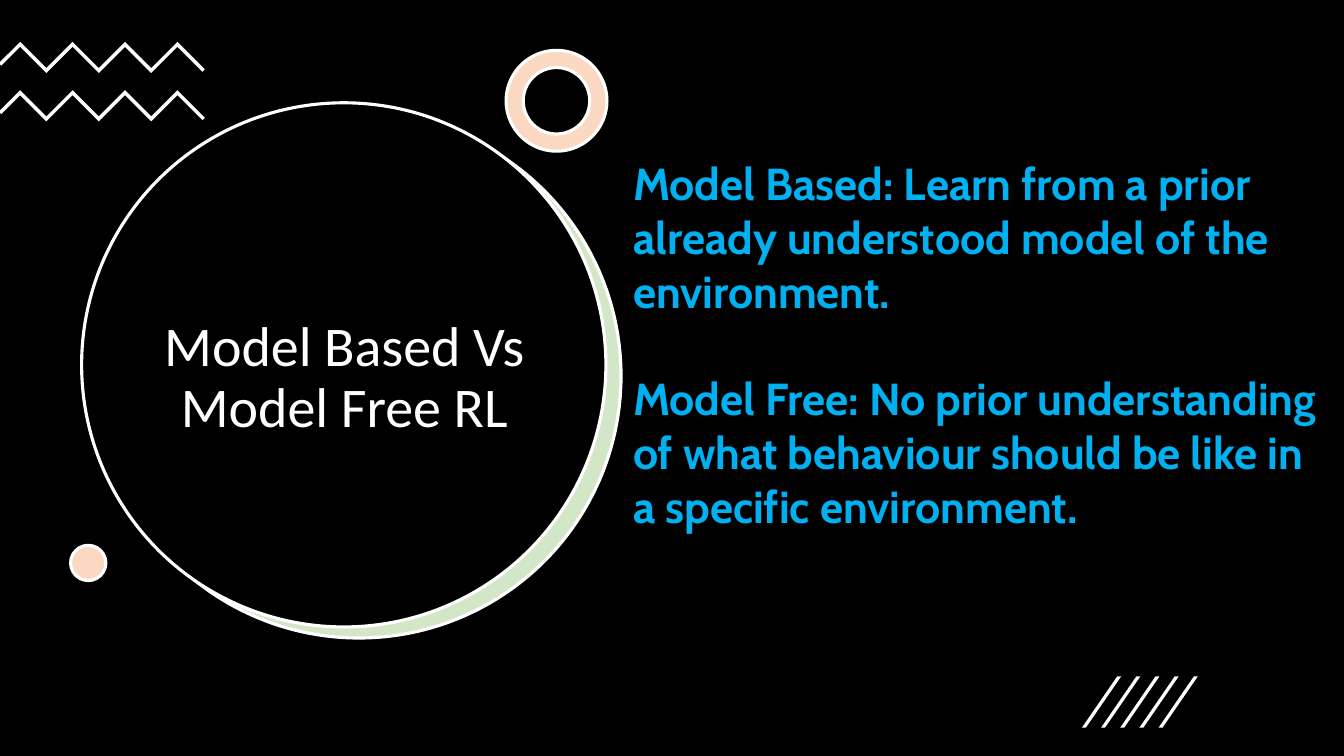
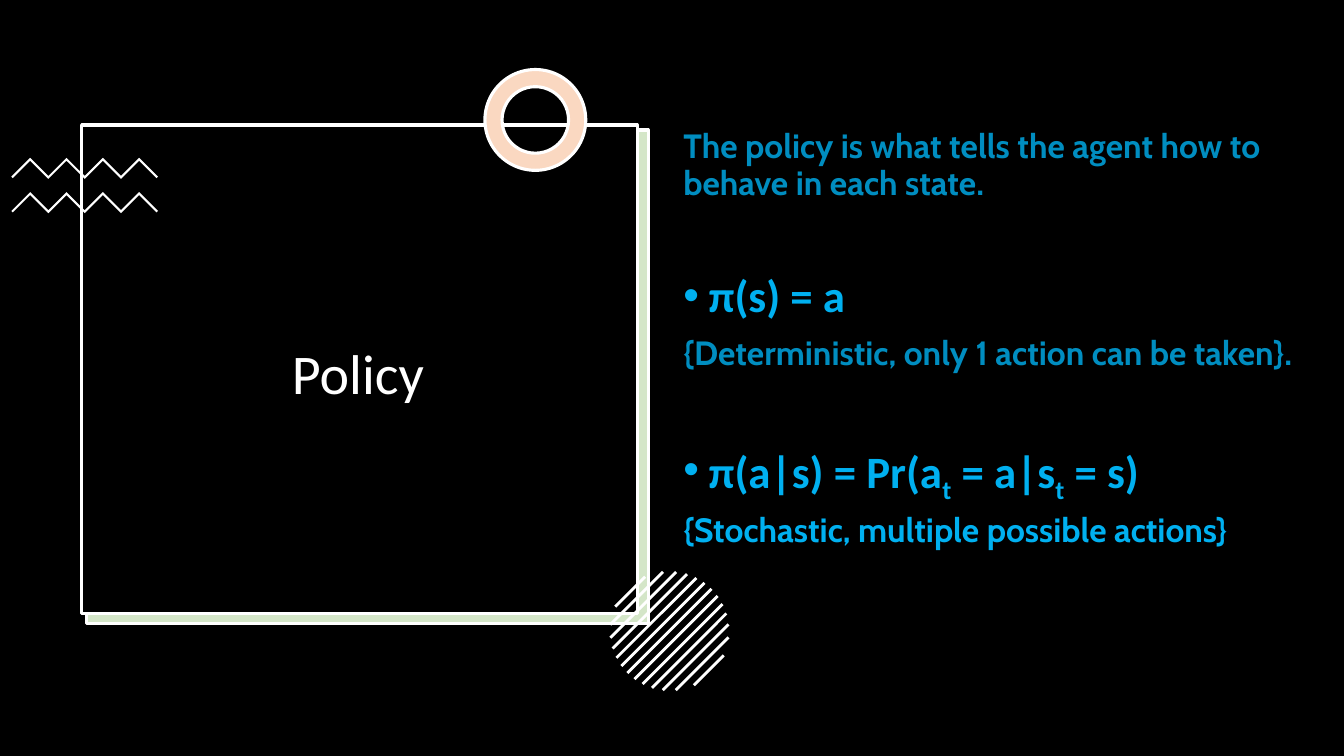
from math import sqrt

from lxml import etree
from pptx import Presentation
from pptx import util as u
from pptx.dml.color import RGBColor
from pptx.enum import shapes, text
from pptx.oxml.ns import qn

BLACK = RGBColor(0x00, 0x00, 0x00)
WHITE = RGBColor(0xFF, 0xFF, 0xFF)
GREEN = RGBColor(0xD4, 0xE6, 0xC8)
PEACH = RGBColor(0xFA, 0xD8, 0xC1)
BLUE = RGBColor(0x00, 0xB0, 0xF0)
DIM = RGBColor(0x00, 0x8D, 0xC0)
KIND = shapes.MSO_SHAPE


def draw(slide, kind, box, fill, edge=True):
    shape = slide.shapes.add_shape(kind, *map(u.Inches, box))
    shape.shadow.inherit = False
    shape.fill.solid()
    shape.fill.fore_color.rgb = fill
    if edge:
        shape.line.color.rgb = WHITE
        shape.line.width = u.Pt(2.25)
    else:
        shape.line.fill.background()
    return shape


def write(slide, box, paras, lead=1.0, mid=False):
    frame = slide.shapes.add_textbox(*map(u.Inches, box)).text_frame
    frame.word_wrap = True
    if mid:
        frame.vertical_anchor = text.MSO_ANCHOR.MIDDLE
    for i, (gap, dot, face, size, color, bold, runs) in enumerate(paras):
        para = frame.paragraphs[0] if i == 0 else frame.add_paragraph()
        if dot:
            props = para._p.get_or_add_pPr()
            props.set("marL", str(u.Inches(0.25)))
            props.set("indent", str(-u.Inches(0.25)))
            etree.SubElement(props, qn("a:buFont")).set("typeface", "Arial")
            etree.SubElement(props, qn("a:buChar")).set("char", "•")
        para.line_spacing = lead
        if gap:
            para.space_before = u.Pt(gap)
        if mid:
            para.alignment = text.PP_ALIGN.CENTER
        for words, base in runs:
            run = para.add_run()
            run.text = words
            run.font.name = face
            run.font.size = u.Pt(size)
            run.font.bold = bold
            run.font.color.rgb = color
            if base:
                run._r.get_or_add_rPr().set("baseline", str(base))


deck = Presentation()
deck.slide_width = u.Inches(13.33)
deck.slide_height = u.Inches(7.5)

looks = [
    (KIND.OVAL, (0.96, 1.13, 5.2, 5.2), (0.81, 1.02, 5.2, 5.2),
     (0, 0.2, 0.26, 0.44, 0.48, 2.5), (5.02, 0.5),
     "Model Based Vs Model Free RL", (1.21, 2, 4.41, 3.52)),
    (KIND.RECTANGLE, (0.86, 1.29, 5.57, 4.9), (0.81, 1.24, 5.51, 4.85),
     (0.12, 0.3, 0.18, 1.58, 0.34, 1.5), (4.81, 0.69),
     "Policy", (0.87, 1.52, 5.36, 4.42)),
]
for kind, back, front, wave, spot, title, box in looks:
    slide = deck.slides.add_slide(deck.slide_layouts[6])
    slide.background.fill.solid()
    slide.background.fill.fore_color.rgb = BLACK
    draw(slide, kind, back, GREEN)
    draw(slide, kind, front, BLACK)
    write(slide, box, [(0, False, "Calibri", 40, WHITE, False, [(title, 0)])], 0.9, True)

    start, first, step, top, drop, width = wave
    for row in range(2):
        y = top + row * drop
        path = slide.shapes.build_freeform(u.Inches(start), u.Inches(y + first - start))
        path.add_line_segments(
            [(u.Inches(first + i * step), u.Inches(y + i % 2 * step)) for i in range(8)],
            close=False)
        zig = path.convert_to_shape()
        zig.shadow.inherit = False
        zig.fill.background()
        zig.line.color.rgb = WHITE
        zig.line.width = u.Pt(width)
        etree.SubElement(zig.line._get_or_add_ln(), qn("a:miter")).set("lim", "800000")

    ring = draw(slide, KIND.DONUT, (*spot, 1, 1), PEACH)
    ring.adjustments[0] = 0.17

model, policy = deck.slides

draw(model, KIND.OVAL, (0.7, 5.41, 0.35, 0.35), PEACH)
for i in range(5):
    slash = draw(model, KIND.PARALLELOGRAM, (10.73 + 0.19 * i, 6.71, 0.39, 0.51), WHITE, False)
    slash.adjustments[0] = 0.9

write(model, (6.18, 1.5, 7.02, 4.41), [
    (0, False, "Cabin", 32, BLUE, True,
     [("Model Based: Learn from a prior already understood model of the environment.", 0)]),
    (38, False, "Cabin", 32, BLUE, True,
     [("Model Free: No prior understanding of what behaviour should be like in a specific environment.", 0)]),
])

x, y, radius = 6.64, 6.26, 0.59
for i in range(-6, 7):
    shift = i * 0.13 / 2
    half = sqrt(radius ** 2 / 2 - shift ** 2)
    ends = (x + shift + half, y + shift - half, x + shift - half, y + shift + half)
    stripe = policy.shapes.add_connector(shapes.MSO_CONNECTOR.STRAIGHT, *map(u.Inches, ends))
    stripe.line.color.rgb = WHITE
    stripe.line.width = u.Pt(2)
    etree.SubElement(stripe._element.spPr, qn("a:effectLst"))

write(policy, (6.68, 1.24, 6.54, 5.3), [
    (0, False, "Cabin", 24, DIM, True,
     [("The policy is what tells the agent how to behave in each state.", 0)]),
    (51, True, "Calibri", 32, BLUE, True, [("π(s) = a", 0)]),
    (10, False, "Cabin", 24, DIM, True, [("{Deterministic, only 1 action can be taken}.", 0)]),
    (51, True, "Calibri", 32, BLUE, True,
     [("π(a|s) = Pr(a", 0), ("t", -25000), (" = a|s", 0), ("t", -25000), (" = s)", 0)]),
    (10, False, "Cabin", 24, BLUE, True, [("{Stochastic, multiple possible actions}", 0)]),
], 0.9)

deck.save("out.pptx")
